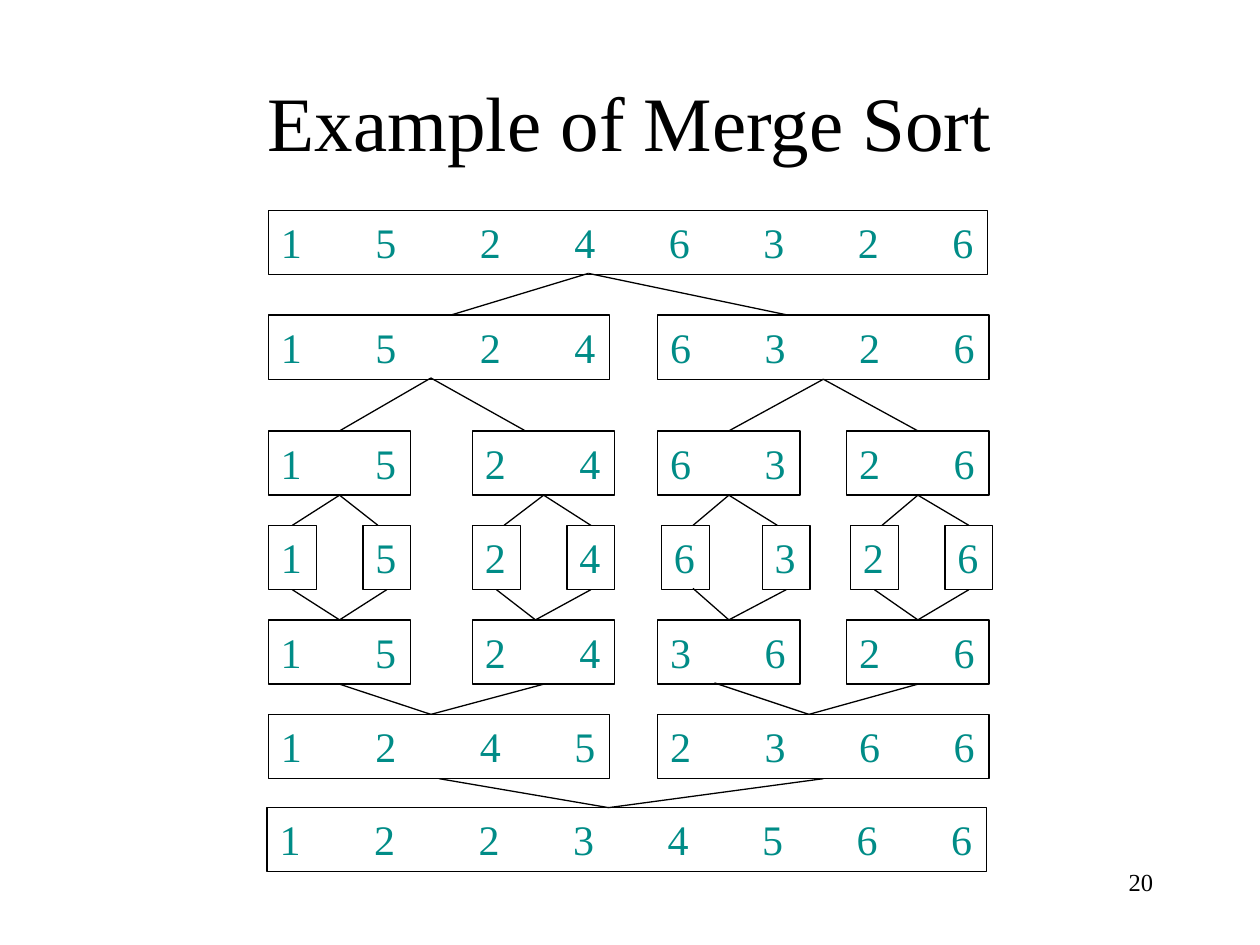
from dataclasses import dataclass

from lxml.etree import SubElement
from pptx import Presentation
from pptx.dml.color import RGBColor as Color
from pptx.enum.shapes import MSO_CONNECTOR as Connector, MSO_SHAPE as Shape
from pptx.enum.text import MSO_ANCHOR as Anchor, PP_ALIGN as Align
from pptx.oxml.ns import qn
from pptx.util import Inches, Pt


@dataclass(frozen=True)
class Theme:
    """Fonts, colours, type sizes and line weight of the slide."""
    font: str = "Times New Roman"
    ink: Color = Color(0x00, 0x00, 0x00)
    digit: Color = Color(0x00, 0x8C, 0x87)
    title_size: int = 44
    digit_size: int = 24
    number_size: int = 14
    weight: float = 0.75


DIGIT_STEP = 0.75
EXTRA_GAP = 0.08
BOX_PADDING = 0.38
BOX_HEIGHT = 0.51
LINK_START = 0.5
JOIN_TOLERANCE = 0.05
TOP, BOTTOM = 0, 2

LEVELS = [
    (1.67, [(2.13, "15246326")]),
    (2.5, [(2.13, "1524"), (5.22, "6326")]),
    (3.42, [(2.13, "15"), (3.75, "24"), (5.22, "63"), (6.72, "26")]),
    (4.17, [(2.13, "1"), (2.88, "5"), (3.75, "2"), (4.5, "4"),
            (5.25, "6"), (6.05, "3"), (6.75, "2"), (7.5, "6")]),
    (4.92, [(2.13, "15"), (3.75, "24"), (5.22, "36"), (6.72, "26")]),
    (5.67, [(2.13, "1245"), (5.22, "2366")]),
    (6.41, [(2.12, "12234566")]),
]

LINKS = [
    [(4.67, 3.58), (4.67, 6.25)],
    [(3.42, 2.67), (3.42, 4.17), (6.5, 5.75), (6.5, 7.25)],
    [(2.67, 2.33), (2.67, 3), (4.33, 4), (4.33, 4.67),
     (5.83, 5.5), (5.83, 6.17), (7.33, 7), (7.33, 7.67)],
    [(2.33, 2.67), (3.08, 2.67), (3.92, 4.25), (4.67, 4.25),
     (5.5, 5.83), (6.25, 5.83), (6.92, 7.25), (7.67, 7.25)],
    [(2.67, 3.42), (4.33, 3.42), (5.67, 6.42), (7.33, 6.42)],
    [(3.5, 4.83), (6.5, 4.83)],
]


def digit_offsets(left, digits):
    """Return the distance of each digit from the first one."""
    widened = left < 3
    return [DIGIT_STEP * index + (EXTRA_GAP if widened and index > 1 else 0)
            for index in range(len(digits))]


def box_at_middle(boxes, x):
    """Return the box whose horizontal middle lies at x, if any."""
    for box in boxes:
        if abs(box.left + box.width / 2 - Inches(x)) < Inches(JOIN_TOLERANCE):
            return box
    return None


class SlideBuilder:
    """Draws the elements of one slide in a shared style."""

    def __init__(self, slide, theme):
        """Keep the slide and its theme."""
        self.slide = slide
        self.theme = theme

    def add_text(self, shape, text, size, color, align, anchor):
        """Put one styled paragraph in a shape and return it."""
        frame = shape.text_frame
        for name, value in {"word_wrap": True, "vertical_anchor": anchor}.items():
            setattr(frame, name, value)
        para = frame.paragraphs[0]
        para.alignment = align
        span = para.add_run()
        span.text = text
        for name, value in {"name": self.theme.font, "size": Pt(size)}.items():
            setattr(span.font, name, value)
        span.font.color.rgb = color
        return para

    def label(self, area, text, size, align, anchor):
        """Add a plain text box."""
        box = self.slide.shapes.add_textbox(*map(Inches, area))
        self.add_text(box, text, size, self.theme.ink, align, anchor)

    def digit_box(self, left, top, digits):
        """Add an outlined box with its digits on tab stops."""
        offsets = digit_offsets(left, digits)
        area = (left, top, offsets[-1] + BOX_PADDING, BOX_HEIGHT)
        box = self.slide.shapes.add_shape(Shape.RECTANGLE, *map(Inches, area))
        box.shadow.inherit = False
        box.fill.background()
        self.outline(box)
        box.text_frame.margin_right = 0
        para = self.add_text(box, "\t".join(digits), self.theme.digit_size,
                             self.theme.digit, Align.LEFT, Anchor.TOP)
        if len(offsets) > 1:
            stops = SubElement(para._p.get_or_add_pPr(), qn("a:tabLst"))
            for offset in offsets[1:]:
                SubElement(stops, qn("a:tab"), pos=str(Inches(offset)), algn="l")
        return box

    def link(self, start, end, upper, lower):
        """Draw a line, joined to boxes where it meets their middles."""
        line = self.slide.shapes.add_connector(
            Connector.STRAIGHT, *map(Inches, (*start, *end)))
        self.outline(line)
        SubElement(line._element.spPr, qn("a:effectLst"))
        source = box_at_middle(upper, start[0])
        target = box_at_middle(lower, end[0])
        if source is not None:
            line.begin_connect(source, BOTTOM)
        if target is not None:
            line.end_connect(target, TOP)

    def outline(self, shape):
        """Give a shape or connector the thin line of the theme."""
        shape.line.color.rgb = self.theme.ink
        shape.line.width = Pt(self.theme.weight)


def main():
    """Build the merge sort slide."""
    deck = Presentation()
    deck.slide_width, deck.slide_height = Inches(10), Inches(7.5)
    theme = Theme()
    page = SlideBuilder(deck.slides.add_slide(deck.slide_layouts[6]), theme)

    page.label((0.75, 0.33, 8.5, 1.25), "Example of Merge Sort",
               theme.title_size, Align.CENTER, Anchor.MIDDLE)
    page.label((7.17, 6.83, 2.08, 0.5), "20",
               theme.number_size, Align.RIGHT, Anchor.TOP)

    rows = [[page.digit_box(left, top, digits) for left, digits in boxes]
            for top, boxes in LEVELS]
    tops = [top for top, _ in LEVELS]
    for level, links in enumerate(LINKS):
        for start_x, end_x in links:
            page.link((start_x, tops[level] + LINK_START), (end_x, tops[level + 1]),
                      rows[level], rows[level + 1])

    deck.save("out.pptx")


if __name__ == "__main__":
    main()
